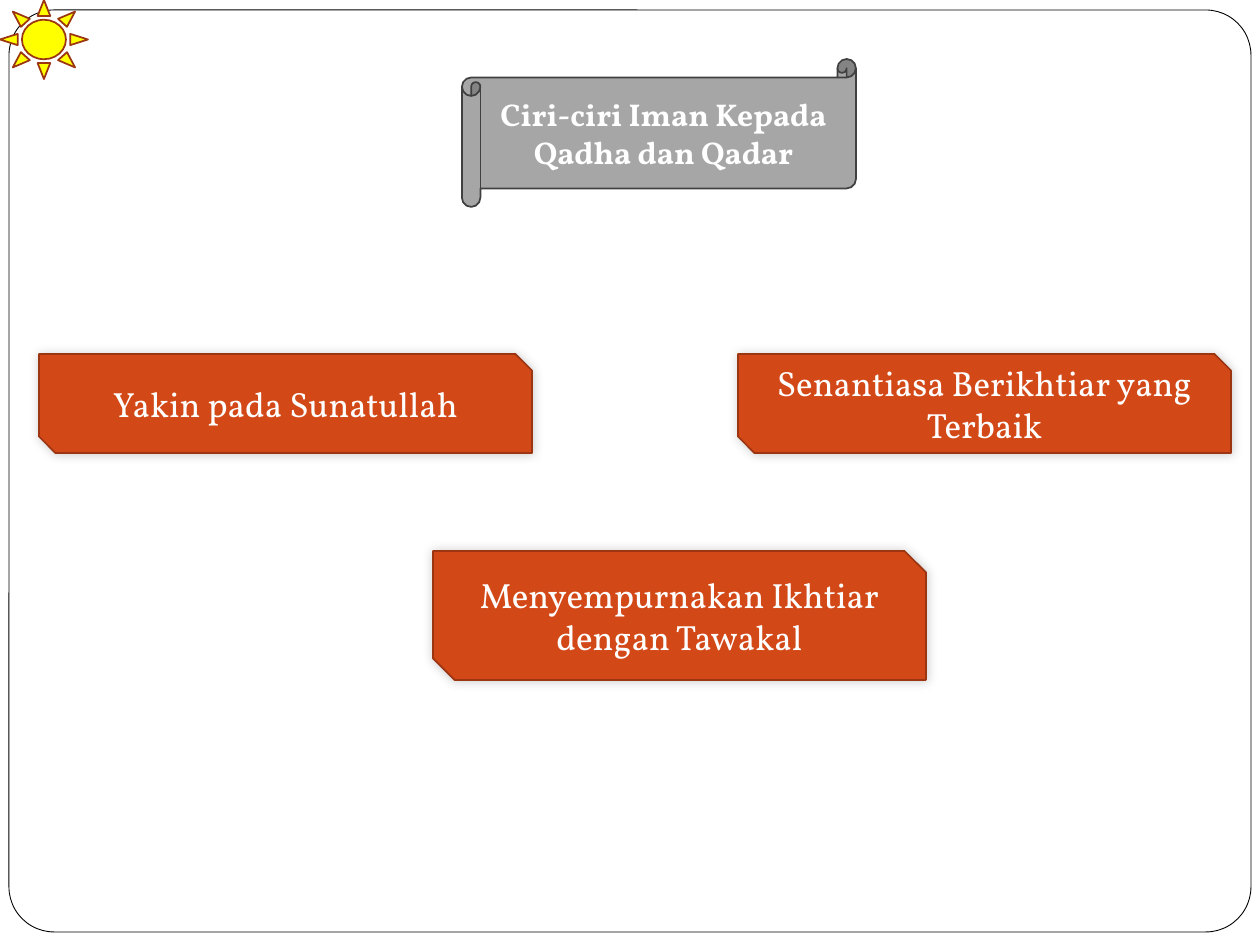
from lxml import etree
from pptx import Presentation, util as u
from pptx.dml.color import RGBColor
from pptx.enum import shapes, text
from pptx.oxml.ns import qn

PX = 914400 // 126
FONT = "Vollkorn"
WHITE = RGBColor(0xFF, 0xFF, 0xFF)
BLACK = RGBColor(0, 0, 0)
GRAY = RGBColor(0xA6, 0xA6, 0xA6)
DARK_GRAY = RGBColor(0x40, 0x40, 0x40)
ORANGE = RGBColor(0xD3, 0x48, 0x17)
BROWN = RGBColor(0x9C, 0x35, 0x11)
YELLOW = RGBColor(0xFF, 0xFF, 0)

HEADING = "Ciri-ciri Iman Kepada Qadha dan Qadar"
TRAIT_WIDTH = 493
TRAITS = [
    ("Yakin pada Sunatullah", 39, 354, 99),
    ("Menyempurnakan Ikhtiar dengan Tawakal", 433, 551, 129),
    ("Senantiasa Berikhtiar yang Terbaik", 738, 354, 99),
]

prs = Presentation()
prs.slide_width, prs.slide_height = 1260 * PX, 945 * PX
slide = prs.slides.add_slide(prs.slide_layouts[5])


def draw(kind, box, fill, line, weight=1):
    shape = slide.shapes.add_shape(kind, *(side * PX for side in box))
    shape.shadow.inherit = False
    shape.fill.solid()
    shape.fill.fore_color.rgb = fill
    shape.line.color.rgb = line
    shape.line.width = u.Pt(weight)
    return shape


def write(shape, words, size, bold=False):
    frame = shape.text_frame
    frame.word_wrap = True
    frame.auto_size = text.MSO_AUTO_SIZE.NONE
    frame.vertical_anchor = text.MSO_ANCHOR.MIDDLE
    paragraph = frame.paragraphs[0]
    paragraph.alignment = text.PP_ALIGN.CENTER
    run = paragraph.add_run()
    run.text = words
    run.font.name = FONT
    run.font.size = u.Pt(size)
    run.font.bold = bold
    run.font.color.rgb = WHITE


def add_glow(shape):
    effects = shape._element.spPr.find(qn("a:effectLst"))
    shadow = etree.SubElement(effects, qn("a:outerShdw"), blurRad=str(u.Pt(6)),
                              dist="0", dir=str(225 * 60000), rotWithShape="0")
    color = etree.SubElement(shadow, qn("a:srgbClr"), val=str(BLACK))
    etree.SubElement(color, qn("a:alpha"), val="20000")


KIND = shapes.MSO_SHAPE
border = draw(KIND.ROUNDED_RECTANGLE, (9, 10, 1242, 922), WHITE, BLACK, 0.5)
border.adjustments[0] = 0.049
draw(KIND.HORIZONTAL_SCROLL, (462, 59, 394, 148), GRAY, DARK_GRAY)

heading = slide.shapes.title
heading.left, heading.top, heading.width, heading.height = (
    side * PX for side in (480, 77, 367, 112))
write(heading, HEADING, 18, bold=True)
slide.shapes._spTree.append(heading._element)

for words, left, top, height in TRAITS:
    trait = draw(KIND.SNIP_2_DIAG_RECTANGLE, (left, top, TRAIT_WIDTH, height), ORANGE, BROWN)
    add_glow(trait)
    write(trait, words, 20)

draw(KIND.SUN, (0, 0, 88, 79), YELLOW, BROWN)
prs.save("out.pptx")
